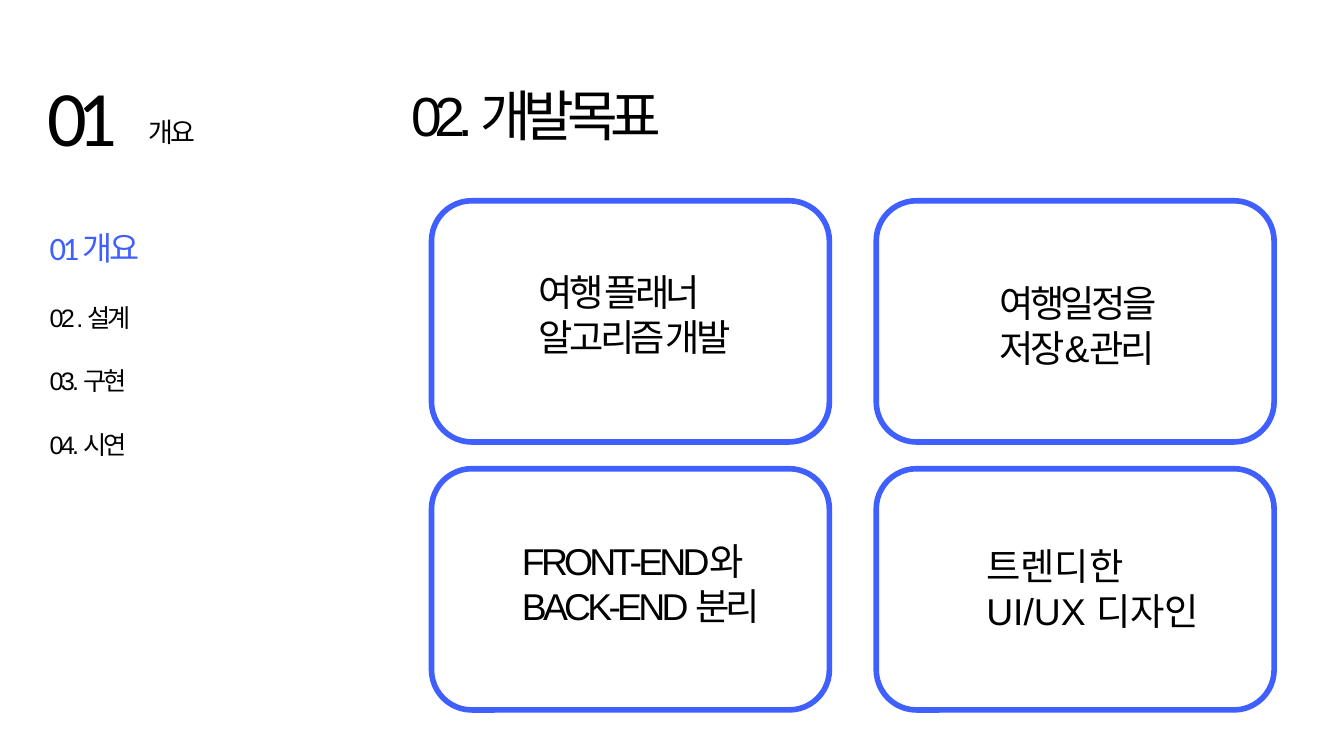
from pptx import Presentation
from pptx.dml.color import RGBColor as Rgb
from pptx.enum.shapes import MSO_SHAPE as Shape
from pptx.enum.text import MSO_ANCHOR as Anchor, MSO_AUTO_SIZE as AutoSize, PP_ALIGN as Align
from pptx.util import Cm, Pt

COLORS = {"accent": "3F5FFF", "ink": "000000"}

CARD_LEFT, CARD_TOP = 16.31, 7.59
CARD_WIDTH, CARD_HEIGHT = 15.04, 9.12
COLUMN_STEP, ROW_STEP = 16.81, 10.13
GOAL_WIDTH, GOAL_HEIGHT = 14.3, 3.68
MENU_LEFT, MENU_TOP, MENU_STEP = 1.63, 11.3, 2.4

MENU = ["02 . 설계", "03. 구현", "04. 시연"]
GOALS = [
    (20.12, 10.06, ["여행 플래너", "알고리즘 개발"], -4),
    (37.54, 10.46, ["여행일정을", "저장&관리"], -4),
    (19.48, 20.22, ["FRONT-END와", "BACK-END 분리"], -4),
    (37.03, 20.42, ["트렌디한", "UI/UX 디자인"], 0),
]


def write_text(frame, lines, size, font="Arial", color="ink", spacing=0):
    frame.word_wrap = True
    frame.auto_size = AutoSize.SHAPE_TO_FIT_TEXT
    frame.vertical_anchor = Anchor.TOP
    for index, line in enumerate(lines):
        paragraph = frame.add_paragraph() if index else frame.paragraphs[0]
        paragraph.alignment = Align.LEFT
        run = paragraph.add_run()
        run.text = line
        run.font.name = font
        run.font.size = Pt(size)
        run.font.color.rgb = Rgb.from_string(COLORS[color])
        if spacing:
            run.font._element.set("spc", str(spacing * 100))


class GoalSlide:
    def __init__(self, deck):
        self.border = Pt(6)
        self.slide = deck.slides.add_slide(deck.slide_layouts[5])

    def title(self, left, top, width, height, line, **style):
        heading = self.slide.shapes.title
        heading.left, heading.top = Cm(left), Cm(top)
        heading.width, heading.height = Cm(width), Cm(height)
        write_text(heading.text_frame, [line], **style)

    def text(self, left, top, width, height, lines, **style):
        box = self.slide.shapes.add_textbox(Cm(left), Cm(top), Cm(width), Cm(height))
        write_text(box.text_frame, lines, **style)

    def card(self, left, top):
        card = self.slide.shapes.add_shape(
            Shape.ROUNDED_RECTANGLE, Cm(left), Cm(top), Cm(CARD_WIDTH), Cm(CARD_HEIGHT))
        card.shadow.inherit = False
        card.fill.background()
        card.line.color.rgb = Rgb.from_string(COLORS["accent"])
        card.line.width = self.border


def main():
    deck = Presentation()
    deck.slide_width, deck.slide_height = Cm(50.8), Cm(28.58)
    page = GoalSlide(deck)

    page.title(15.29, 2.97, 23.32, 2.77, "02. 개발목표", size=59, spacing=-8)
    page.text(1.55, 2.44, 5.56, 6.22, ["01"], size=84, font="Calibri", spacing=-10)
    page.text(5.36, 4.24, 8.64, 2.18, ["개요"], size=29, spacing=-3)

    page.text(MENU_LEFT, 8.48, 13.61, 1.75, ["01 개요"],
              size=35, font="Calibri", color="accent", spacing=-4)
    for row, entry in enumerate(MENU):
        page.text(MENU_LEFT, MENU_TOP + row * MENU_STEP, 14.68, 1.42, [entry],
                  size=27, spacing=-3)

    for index, (left, top, lines, spacing) in enumerate(GOALS):
        row, column = divmod(index, 2)
        page.text(left, top, GOAL_WIDTH, GOAL_HEIGHT, lines, size=40, spacing=spacing)
        page.card(CARD_LEFT + column * COLUMN_STEP, CARD_TOP + row * ROW_STEP)

    deck.save("out.pptx")


if __name__ == "__main__":
    main()
